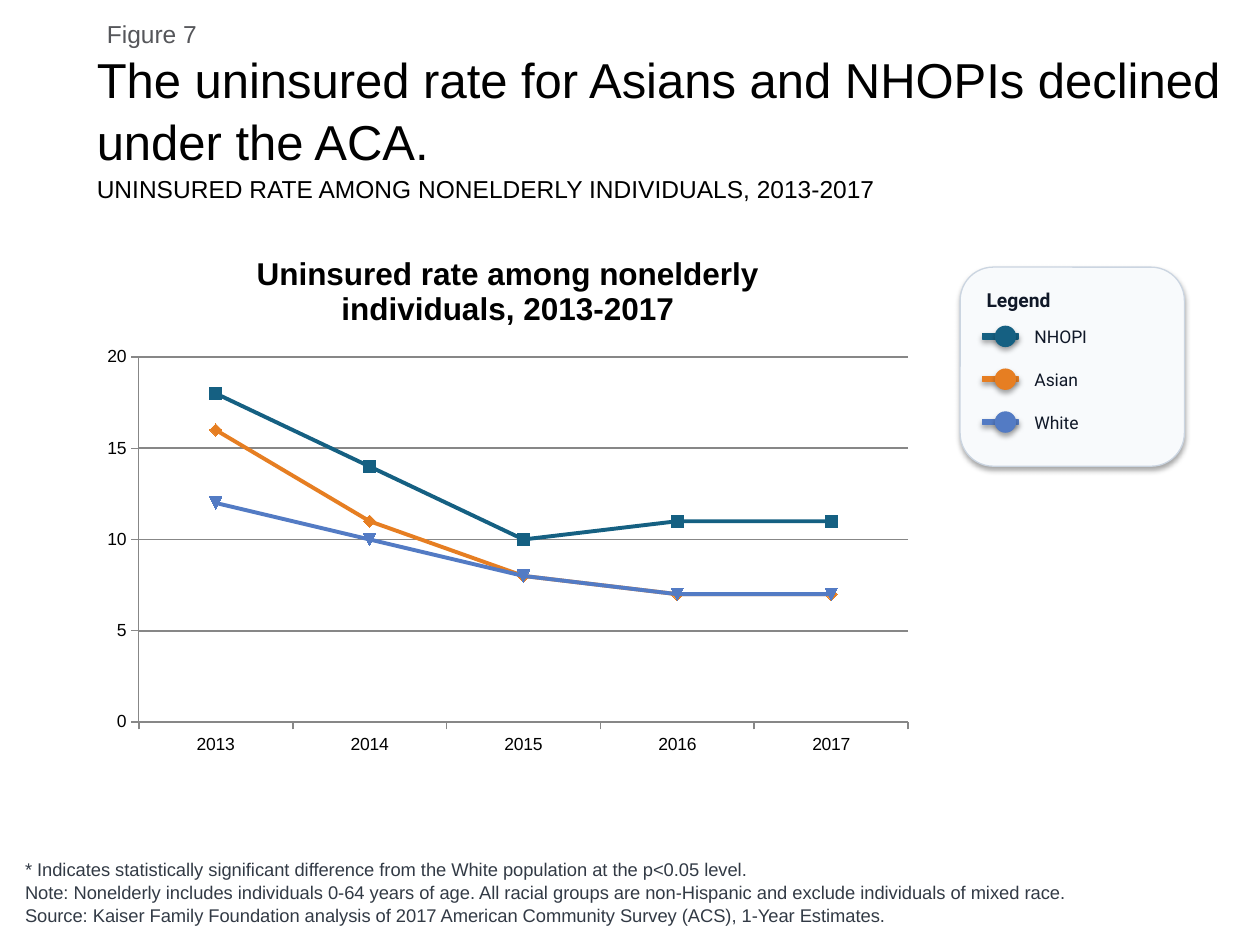
from lxml import etree
from pptx import Presentation
from pptx import util as u
from pptx.chart.data import CategoryChartData
from pptx.dml.color import RGBColor
from pptx.enum import chart as ch, shapes, text
from pptx.oxml import ns

PX = 9144  # 100 px to the inch
GROUPS = [
    ("NHOPI", "156082", (18, 14, 10, 11, 11)),
    ("Asian", "E67E22", (16, 11, 8, 7, 7)),
    ("White", "537BC4", (12, 10, 8, 7, 7)),
]
YEARS = ["2013", "2014", "2015", "2016", "2017"]
NOTES = [
    "* Indicates statistically significant difference from the White population at the p<0.05 level.",
    "Note: Nonelderly includes individuals 0-64 years of age. All racial groups are non-Hispanic "
    "and exclude individuals of mixed race.",
    "Source: Kaiser Family Foundation analysis of 2017 American Community Survey (ACS), 1-Year Estimates.",
]


def px(*lengths):
    return [u.Emu(n * PX) for n in lengths]


def rgb(value):
    return RGBColor.from_string(value)


def style_font(font, size, color, name="Arial", bold=False):
    font.size, font.name, font.bold = u.Pt(size), name, bold
    font.color.rgb = rgb(color)


def add_text(slide, box, lines, size, color, anchor=text.MSO_ANCHOR.TOP, spacing=1):
    frame = slide.shapes.add_textbox(*px(*box)).text_frame
    frame.word_wrap = True
    frame.vertical_anchor = anchor
    frame.text = "\n".join(lines)
    for paragraph in frame.paragraphs:
        paragraph.line_spacing = spacing
        style_font(paragraph.font, size, color)


def add_label(slide, box, label, size, bold=False):
    """Add a one-line legend text with tight insets."""
    frame = slide.shapes.add_textbox(*px(*box)).text_frame
    frame.word_wrap = False
    frame.auto_size = text.MSO_AUTO_SIZE.SHAPE_TO_FIT_TEXT
    frame.margin_left, frame.margin_right = px(5, 5)
    frame.margin_top, frame.margin_bottom = px(3, 3)
    frame.text = label
    style_font(frame.paragraphs[0].font, size, "101828", "Roboto", bold)


def add_raised_shape(slide, kind, box, fill, line):
    """Add a filled shape with a soft shadow below it."""
    shape = slide.shapes.add_shape(kind, *px(*box))
    shape.fill.solid()
    shape.fill.fore_color.rgb = rgb(fill)
    shape.line.color.rgb = rgb(line)
    shape.line.width = u.Pt(0.75)
    shape.shadow.inherit = False
    effects = shape.element.spPr.find(ns.qn("a:effectLst"))
    shadow = etree.SubElement(
        effects, ns.qn("a:outerShdw"), blurRad=str(u.Pt(3.1)), dist=str(u.Pt(1.8)),
        dir="5400000", algn="t", rotWithShape="0")
    color = etree.SubElement(shadow, ns.qn("a:srgbClr"), val="000000")
    etree.SubElement(color, ns.qn("a:alpha"), val="35000")


def add_header(slide, left, top):
    add_text(slide, (left + 8, top, 915, 34), ["Figure 7"], 14, "55565A")
    add_text(slide, (left, top + 26, 923, 100),
             ["The uninsured rate for Asians and NHOPIs declined under the ACA."],
             28, "000000", text.MSO_ANCHOR.MIDDLE, 1.05)
    add_text(slide, (left, top + 123, 867, 34),
             ["UNINSURED RATE AMONG NONELDERLY INDIVIDUALS, 2013-2017"], 14, "000000")


def add_rate_chart(slide, box):
    data = CategoryChartData()
    data.categories = YEARS
    for name, _, rates in GROUPS:
        data.add_series(name, rates)
    chart = slide.shapes.add_chart(ch.XL_CHART_TYPE.LINE_MARKERS, *px(*box), data).chart
    style_font(chart.font, 18, "000000")
    chart.has_legend = False
    chart.has_title = True
    title = chart.chart_title.text_frame
    title.text = "Uninsured rate among nonelderly individuals, 2013-2017"
    style_font(title.paragraphs[0].font, 18, "000000", bold=True)
    chart.plots[0].vary_by_categories = False

    value_axis = chart.value_axis
    value_axis.minimum_scale, value_axis.maximum_scale, value_axis.major_unit = 0, 20, 5
    value_axis.has_major_gridlines = True
    for axis in (chart.category_axis, value_axis):
        axis.major_tick_mark = ch.XL_TICK_MARK.OUTSIDE
        style_font(axis.tick_labels.font, 10, "000000")
    for part, width in ((chart.category_axis, 1), (value_axis, 0.75),
                        (value_axis.major_gridlines, 1)):
        part.format.line.color.rgb = rgb("878787")
        part.format.line.width = u.Pt(width)

    for series, (_, color, _) in zip(chart.plots[0].series, GROUPS):
        series.smooth = False
        series.format.line.color.rgb = rgb(color)
        series.format.line.width = u.Pt(2.25)
        marker = series.marker
        marker.style, marker.size = ch.XL_MARKER_STYLE.AUTOMATIC, 7
        marker.format.fill.solid()
        marker.format.fill.fore_color.rgb = rgb(color)
        marker.format.line.color.rgb = rgb(color)


def add_legend(slide, box):
    left, top = box[:2]
    kinds = shapes.MSO_SHAPE
    add_raised_shape(slide, kinds.ROUNDED_RECTANGLE, box, "F8FAFC", "CBD5E1")
    add_label(slide, (left + 16, top + 14, 140, 22), "Legend", 11, bold=True)
    for row, (name, color, _) in enumerate(GROUPS):
        y = top + 44 + 34 * row
        add_raised_shape(slide, kinds.RECTANGLE, (left + 18, y + 9, 28, 4), color, color)
        add_raised_shape(slide, kinds.OVAL, (left + 28, y + 3, 16, 16), color, color)
        add_label(slide, (left + 54, y, 86, 22), name, 10)


def main():
    deck = Presentation()
    deck.slide_width, deck.slide_height = px(1000, 750)
    slide = deck.slides.add_slide(deck.slide_layouts[6])
    add_header(slide, 67, 10)
    add_text(slide, (10, 680, 898, 60), NOTES, 10.5, "323A45", text.MSO_ANCHOR.BOTTOM, 1.05)
    add_rate_chart(slide, (72, 182, 662, 425))
    add_legend(slide, (762, 212, 178, 158))
    deck.save("out.pptx")


if __name__ == "__main__":
    main()
